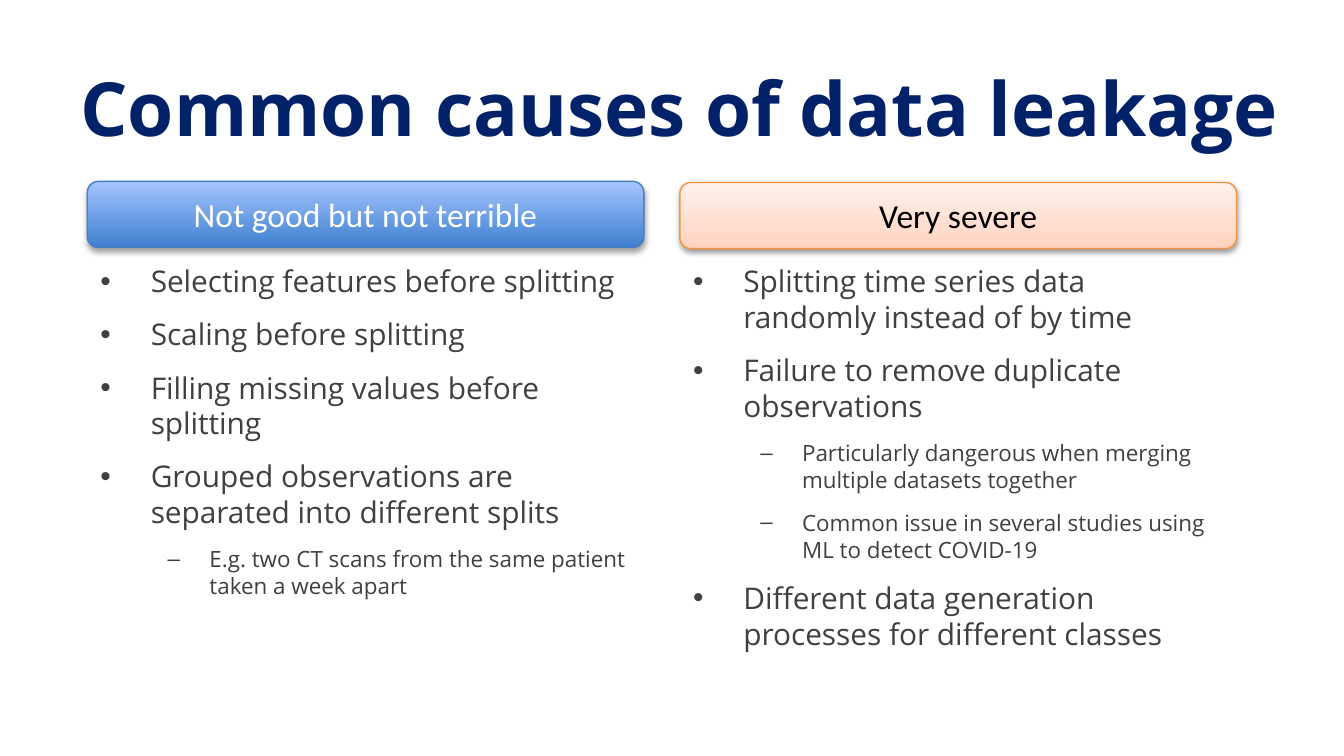
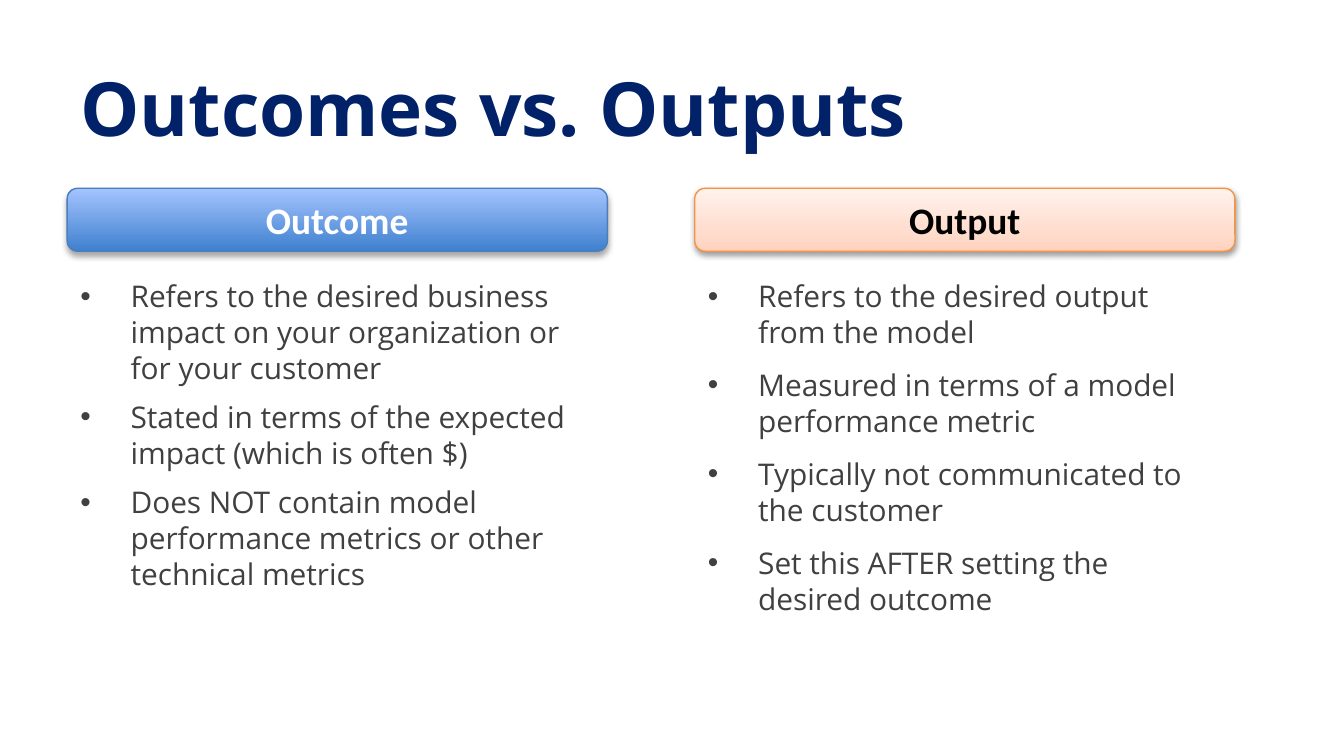
from dataclasses import dataclass
from typing import Any

import lxml.etree
import pptx
import pptx.dml.color
import pptx.enum.shapes
import pptx.enum.text
import pptx.oxml
import pptx.oxml.ns
import pptx.util

Cm = pptx.util.Cm
Pt = pptx.util.Pt
qn = pptx.oxml.ns.qn

# Shared look
NAVY, GREY, WHITE, BLACK = "012169", "404040", "FFFFFF", "000000"
BODY_FONT, HEADER_FONT = "Open Sans", "Calibri"
TITLE_LEFT, TITLE_TOP, TITLE_HEIGHT = 1.27, 1.07, 1.88


@dataclass(frozen=True)
class HeaderStyle:
    stops: tuple[tuple[int, str], ...]  # percent from the bottom, colour
    border: str
    text: str
    shadow_alpha: int
    shadow_distance: float


@dataclass(frozen=True)
class BulletLevel:
    size: int
    mark: str
    margin: float
    hanging: float


@dataclass(frozen=True)
class Column:
    heading: str
    style: HeaderStyle
    left: float
    header_top: float
    body_width: float
    body_height: float
    points: tuple[tuple[int, str], ...]  # level, wording
    space_after: int = 6


@dataclass(frozen=True)
class Comparison:
    title: str
    title_width: float
    header_width: float
    header_height: float
    body_top: float
    heading_format: dict[str, Any]
    columns: tuple[Column, ...]


BLUE = HeaderStyle(((0, "3F80CE"), (100, "A4C4FF")), "4B7EBC", WHITE, 35, 1.8)
ORANGE = HeaderStyle(((0, "FFD2BD"), (35, "FFDED0"), (100, "FFF2ED")),
                     "F69240", BLACK, 38, 1.6)
LEVELS = (BulletLevel(16, "•", 0.95, 0.95), BulletLevel(12, "–", 2.06, 0.79))

# Content
COMPARISONS = (
    Comparison(
        "Common causes of data leakage", 23.16, 10.52, 1.25, 4.85,
        {"size": Pt(18), "bold": False},
        (
            Column("Not good but not terrible", BLUE, 1.65, 3.43, 10.52, 7.32, (
                (0, "Selecting features before splitting"),
                (0, "Scaling before splitting"),
                (0, "Filling missing values before splitting"),
                (0, "Grouped observations are separated into different splits"),
                (1, "E.g. two CT scans from the same patient taken a week apart"),
            )),
            Column("Very severe", ORANGE, 12.85, 3.45, 10.52, 7.62, (
                (0, "Splitting time series data randomly instead of by time"),
                (0, "Failure to remove duplicate observations"),
                (1, "Particularly dangerous when merging multiple datasets together"),
                (1, "Common issue in several studies using ML to detect COVID-19"),
                (0, "Different data generation processes for different classes"),
            )),
        ),
    ),
    Comparison(
        "Outcomes vs. Outputs", 22.86, 10.21, 1.19, 5.13,
        {"size": Pt(20), "bold": True},
        (
            Column("Outcome", BLUE, 1.27, 3.56, 10.16, 6.58, (
                (0, "Refers to the desired business impact on your organization "
                    "or for your customer"),
                (0, "Stated in terms of the expected impact (which is often $)"),
                (0, "Does NOT contain model performance metrics or other "
                    "technical metrics"),
            ), space_after=4),
            Column("Output", ORANGE, 13.13, 3.56, 9.7, 6.58, (
                (0, "Refers to the desired output from the model"),
                (0, "Measured in terms of a model performance metric"),
                (0, "Typically not communicated to the customer"),
                (0, "Set this AFTER setting the desired outcome"),
            )),
        ),
    ),
)


def rgb(value: str) -> pptx.dml.color.RGBColor:
    return pptx.dml.color.RGBColor.from_string(value)


def apply(target: Any, values: dict[str, Any]) -> None:
    for name, value in values.items():
        setattr(target, name, value)


def write(paragraph: Any, wording: str, colour: str, values: dict[str, Any]) -> None:
    run = paragraph.add_run()
    run.text = wording
    apply(run.font, values)
    run.font.color.rgb = rgb(colour)


def add_title(slide: Any, title: str, width: float) -> None:
    frame = slide.shapes.add_textbox(
        Cm(TITLE_LEFT), Cm(TITLE_TOP), Cm(width), Cm(TITLE_HEIGHT)).text_frame
    apply(frame, {"word_wrap": True,
                  "vertical_anchor": pptx.enum.text.MSO_ANCHOR.MIDDLE})
    write(frame.paragraphs[0], title, NAVY,
          {"name": BODY_FONT, "size": Pt(40), "bold": True})


def add_colour(parent: Any, colour: str) -> Any:
    return lxml.etree.SubElement(parent, qn("a:srgbClr"), val=colour)


def style_header(header: Any, style: HeaderStyle) -> None:
    """Gradient from the bottom up, thin border and soft shadow below."""
    header.fill.gradient()
    header.fill.gradient_angle = 90
    properties = header.element.spPr
    stops = properties.find(".//" + qn("a:gsLst"))
    for stop in list(stops):
        stops.remove(stop)
    for percent, colour in style.stops:
        add_colour(lxml.etree.SubElement(
            stops, qn("a:gs"), pos=str(percent * 1000)), colour)

    header.line.color.rgb = rgb(style.border)
    header.line.width = Pt(0.75)

    header.shadow.inherit = False
    shadow = lxml.etree.SubElement(
        properties.find(qn("a:effectLst")), qn("a:outerShdw"),
        blurRad=str(Pt(3.1)), dist=str(Pt(style.shadow_distance)),
        dir=str(90 * 60000), rotWithShape="0")
    lxml.etree.SubElement(add_colour(shadow, BLACK), qn("a:alpha"),
                          val=str(style.shadow_alpha * 1000))


def add_header(slide: Any, comparison: Comparison, column: Column) -> None:
    header = slide.shapes.add_shape(
        pptx.enum.shapes.MSO_SHAPE.ROUNDED_RECTANGLE,
        Cm(column.left), Cm(column.header_top),
        Cm(comparison.header_width), Cm(comparison.header_height))
    style_header(header, column.style)
    header.text_frame.vertical_anchor = pptx.enum.text.MSO_ANCHOR.MIDDLE
    heading = header.text_frame.paragraphs[0]
    heading.alignment = pptx.enum.text.PP_ALIGN.CENTER
    write(heading, column.heading, column.style.text,
          {"name": HEADER_FONT, **comparison.heading_format})


def add_bullet(paragraph: Any, level: BulletLevel) -> None:
    properties = paragraph._p.get_or_add_pPr()
    properties.set("marL", str(Cm(level.margin)))
    properties.set("indent", str(-Cm(level.hanging)))
    lxml.etree.SubElement(properties, qn("a:buFont"), typeface="Arial")
    lxml.etree.SubElement(properties, qn("a:buChar"), char=level.mark)


def add_points(slide: Any, top: float, column: Column) -> None:
    frame = slide.shapes.add_textbox(
        Cm(column.left), Cm(top),
        Cm(column.body_width), Cm(column.body_height)).text_frame
    frame.word_wrap = True
    for index, (depth, wording) in enumerate(column.points):
        point = frame.add_paragraph() if index else frame.paragraphs[0]
        level = LEVELS[depth]
        add_bullet(point, level)
        apply(point, {"level": depth,
                      "space_before": Pt(0.2 * level.size if index else 0),
                      "space_after": Pt(column.space_after)})
        write(point, wording, GREY, {"name": BODY_FONT, "size": Pt(level.size)})


def main() -> None:
    deck = pptx.Presentation()
    apply(deck, {"slide_width": Cm(25.4), "slide_height": Cm(14.29)})
    for comparison in COMPARISONS:
        slide = deck.slides.add_slide(deck.slide_layouts[6])
        add_title(slide, comparison.title, comparison.title_width)
        for column in comparison.columns:
            add_header(slide, comparison, column)
            add_points(slide, comparison.body_top, column)
    deck.save("out.pptx")


if __name__ == "__main__":
    main()
